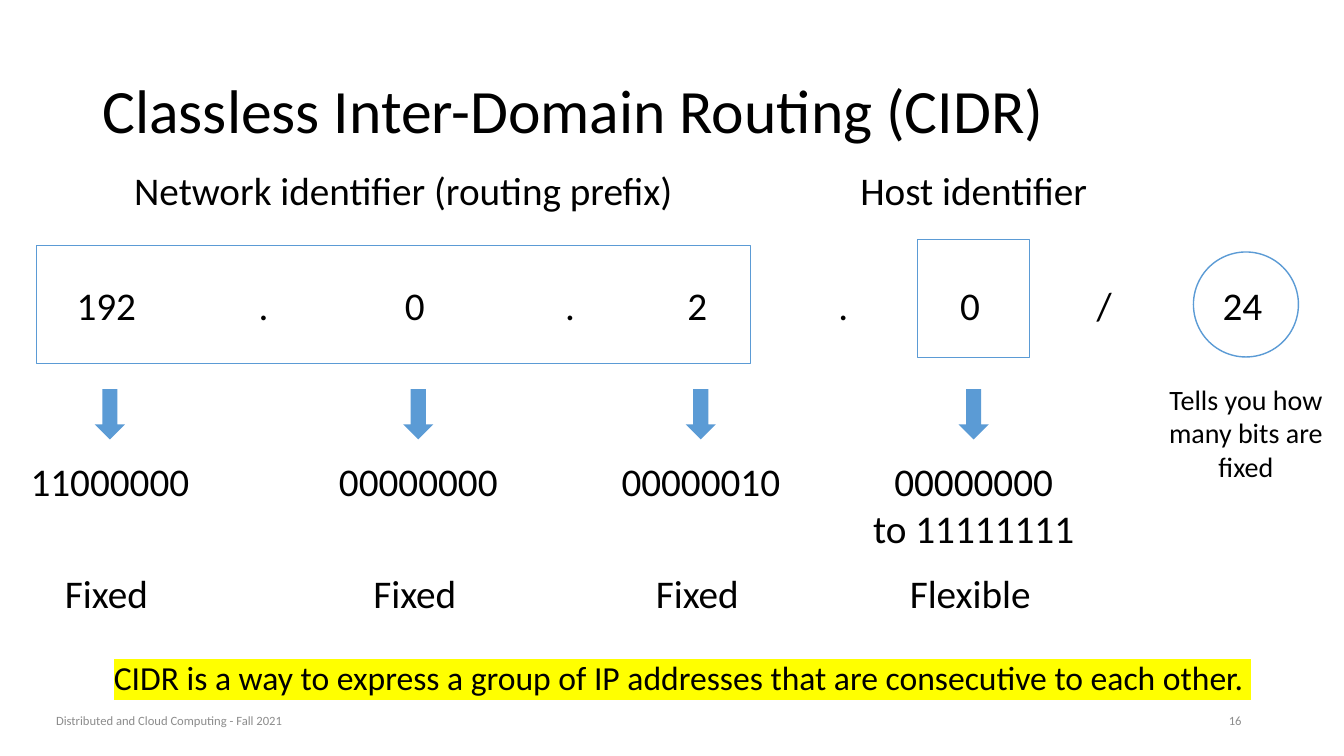
"""Builds a slide that explains CIDR notation octet by octet."""
from dataclasses import dataclass

from lxml import etree
from pptx import Presentation
from pptx import util as u
from pptx.dml.color import RGBColor
from pptx.enum import shapes, text
from pptx.oxml.ns import qn


@dataclass(frozen=True)
class Theme:
    """Colours, font and type sizes."""
    font: str = "Calibri"
    ink: str = "000000"
    accent: str = "5B9BD5"
    muted: str = "8C8C8C"
    marker: str = "FFFF00"
    title: float = 44
    body: float = 28
    summary: float = 24
    note: float = 20
    footer: float = 9


class SlideBuilder:
    """Draws styled elements on one slide, with lengths in points."""

    def __init__(self, slide, theme):
        """Keep the slide and its theme."""
        self.slide = slide
        self.theme = theme

    def format(self, frame, size, color, align):
        """Apply font, size, colour and alignment to a whole frame."""
        for paragraph in frame.paragraphs:
            paragraph.alignment = align
            for run in paragraph.runs:
                run.font.name = self.theme.font
                run.font.size = u.Pt(size)
                run.font.color.rgb = RGBColor.from_string(color)

    def title(self, wording, left, top, width, height):
        """Place and fill the title placeholder."""
        heading = self.slide.shapes.title
        heading.left, heading.top = u.Pt(left), u.Pt(top)
        heading.width, heading.height = u.Pt(width), u.Pt(height)
        frame = heading.text_frame
        frame.text = wording
        frame.auto_size = text.MSO_AUTO_SIZE.NONE
        frame.vertical_anchor = text.MSO_ANCHOR.MIDDLE
        frame.paragraphs[0].line_spacing = 0.9
        self.format(frame, self.theme.title, self.theme.ink, text.PP_ALIGN.LEFT)

    def text(self, wording, left, top, width, height, size, color=None,
             align=text.PP_ALIGN.LEFT, wrap=True, anchor=text.MSO_ANCHOR.TOP):
        """Add a text box and return its frame."""
        frame = self.slide.shapes.add_textbox(
            u.Pt(left), u.Pt(top), u.Pt(width), u.Pt(height)).text_frame
        frame.text = wording
        frame.word_wrap = wrap
        frame.vertical_anchor = anchor
        self.format(frame, size, color or self.theme.ink, align)
        return frame

    def label(self, wording, center, top, width, size=None, height=41):
        """Add an unwrapped label centred on a column."""
        frame = self.text(wording, center - width / 2, top, width, height,
                          size or self.theme.body,
                          align=text.PP_ALIGN.CENTER, wrap=False)
        frame.auto_size = text.MSO_AUTO_SIZE.SHAPE_TO_FIT_TEXT

    def shape(self, preset, center, top, width, height, filled=False):
        """Add an outlined or solid accent shape centred on a column."""
        figure = self.slide.shapes.add_shape(
            preset, u.Pt(center - width / 2), u.Pt(top), u.Pt(width), u.Pt(height))
        figure.shadow.inherit = False
        accent = RGBColor.from_string(self.theme.accent)
        if filled:
            figure.fill.solid()
            figure.fill.fore_color.rgb = accent
            figure.line.fill.background()
        else:
            figure.fill.background()
            figure.line.color.rgb = accent
            figure.line.width = u.Pt(1)

    def highlight(self, frame):
        """Mark every run of a frame with the marker colour."""
        for run in frame.paragraphs[0].runs:
            marker = etree.Element(qn("a:highlight"))
            etree.SubElement(marker, qn("a:srgbClr"), val=self.theme.marker)
            run.font._element.find(qn("a:latin")).addprevious(marker)


def main():
    """Build and save the slide."""
    deck = Presentation()
    deck.slide_width, deck.slide_height = u.Pt(960), u.Pt(540)
    theme = Theme()
    builder = SlideBuilder(deck.slides.add_slide(deck.slide_layouts[5]), theme)
    preset = shapes.MSO_SHAPE

    builder.title("Classless Inter-Domain Routing (CIDR)", 66, 28.75, 828, 104.4)

    host_center, prefix_center = 695.5, 890
    label_shift = 2.5
    builder.label("Network identifier (routing prefix)", 288, 115.2, 428)
    builder.label("Host identifier", host_center, 115.2, 190)
    builder.shape(preset.RECTANGLE, 281.3, 175.5, 510, 84.2)
    builder.shape(preset.RECTANGLE, host_center, 171, 80, 84.2)
    builder.shape(preset.OVAL, prefix_center, 180, 75, 75)

    octets = [
        (78.5, "192", "11000000", "Fixed"),
        (298.8, "0", "00000000", "Fixed"),
        (500.6, "2", "00000010", "Fixed"),
        (host_center, "0", "00000000\vto 11111111", "Flexible"),
    ]
    for center, decimal, binary, freedom in octets:
        builder.label(decimal, center - label_shift, 197.3, 64)
        builder.shape(preset.DOWN_ARROW, center, 277.9, 21.6, 36, filled=True)
        builder.label(binary, center, 323.3, 182,
                      height=41 + 34 * binary.count("\v"))
        builder.label(freedom, center - label_shift, 403.2, 108)

    for center, separator in [(188.3, "."), (407.2, "."), (602.3, "."), (788.8, "/")]:
        builder.label(separator, center, 197.3, 64)

    builder.label("24", prefix_center - label_shift, 197.3, 48)
    builder.label("Tells you how\vmany bits are\vfixed", prefix_center, 269.5, 130,
                  theme.note, height=80)

    builder.text("Distributed and Cloud Computing - Fall 2021", 33, 500.5, 294, 28.75,
                 theme.footer, theme.muted, anchor=text.MSO_ANCHOR.MIDDLE)
    builder.text("16", 678, 500.5, 216, 28.75, theme.footer, theme.muted,
                 text.PP_ALIGN.RIGHT, anchor=text.MSO_ANCHOR.MIDDLE)
    summary = builder.text(
        "CIDR is a way to express a group of IP addresses that are consecutive "
        "to each other. ", 74.2, 465.8, 853, 58.3, theme.summary)
    builder.highlight(summary)

    deck.save("out.pptx")


if __name__ == "__main__":
    main()
